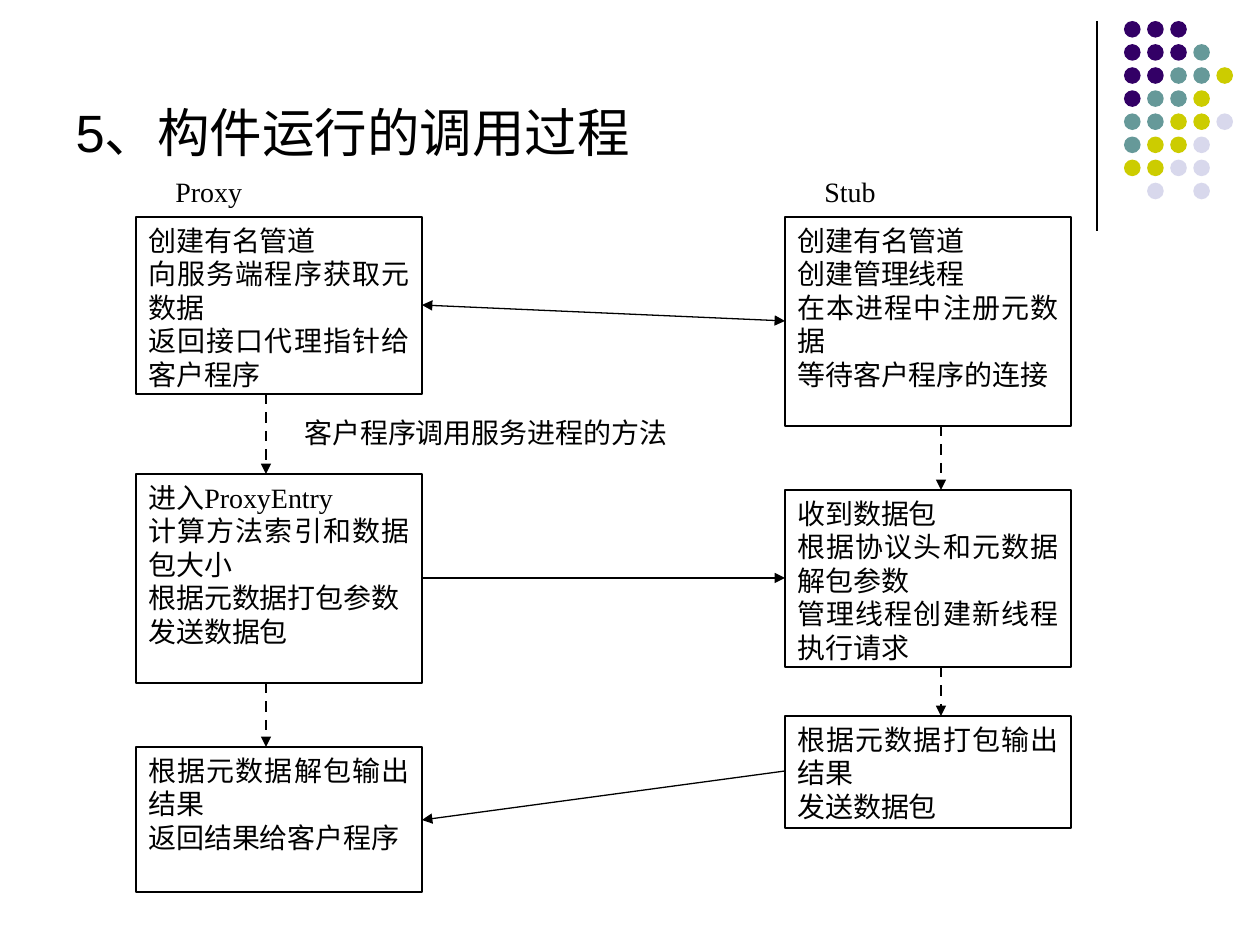
from dataclasses import dataclass

import pptx
import pptx.dml.color
import pptx.enum.dml
import pptx.enum.shapes
import pptx.enum.text
import pptx.oxml
import pptx.oxml.ns
import pptx.util

SHAPE = pptx.enum.shapes.MSO_SHAPE
ALIGN = pptx.enum.text.PP_ALIGN
A_NS = pptx.oxml.ns.nsdecls("a")
PX_PER_INCH = 126


@dataclass(frozen=True)
class Theme:
    ink: str = "000000"
    paper: str = "FFFFFF"
    purple: str = "330066"
    teal: str = "669999"
    olive: str = "CCCC00"
    lavender: str = "D8D8EC"
    title_font: str = "Arial"
    diagram_font: str = "Times New Roman"
    title_size: int = 30
    diagram_size: int = 16
    thin: float = 0.75
    thick: float = 1.5


THEME = Theme()

# Decorative dots: one letter per dot, one string per row
DOT_ROWS = ["PPP", "PPPT", "PPTTO", "PTTO", "TTOOL", "TOOL", "OOLL", " L L"]
DOT_COLORS = {"P": THEME.purple, "T": THEME.teal,
              "O": THEME.olive, "L": THEME.lavender}

# Each side: heading, left edge, offset of its flow arrows, steps (top, height, lines)
STEP_WIDTH = 286
PROXY = ("Proxy", 136, 130, [
    (217, 177, ["创建有名管道", "向服务端程序获取元数据", "返回接口代理指针给客户程序"]),
    (474, 209, ["进入ProxyEntry", "计算方法索引和数据包大小", "根据元数据打包参数", "发送数据包"]),
    (747, 145, ["根据元数据解包输出结果", "返回结果给客户程序"]),
])
STUB = ("Stub", 785, 156, [
    (217, 209, ["创建有名管道", "创建管理线程", "在本进程中注册元数据", "等待客户程序的连接"]),
    (490, 177, ["收到数据包", "根据协议头和元数据解包参数", "管理线程创建新线程执行请求"]),
    (716, 112, ["根据元数据打包输出结果", "发送数据包"]),
])


def px(length):
    return pptx.util.Emu(round(length * 914400 / PX_PER_INCH))


def rgb(color):
    return pptx.dml.color.RGBColor.from_string(color)


def write(frame, lines, *, font, size, color=THEME.ink, align=ALIGN.JUSTIFY):
    frame.word_wrap = True
    frame.auto_size = pptx.enum.text.MSO_AUTO_SIZE.NONE
    frame.vertical_anchor = pptx.enum.text.MSO_ANCHOR.TOP
    frame.margin_left = frame.margin_right = pptx.util.Inches(0.1)
    frame.margin_top = frame.margin_bottom = pptx.util.Inches(0.05)
    for index, line in enumerate(lines):
        paragraph = frame.add_paragraph() if index else frame.paragraphs[0]
        paragraph.alignment = align
        run = paragraph.add_run()
        run.text = line
        run.font.name = font
        run.font.size = pptx.util.Pt(size)
        run.font.color.rgb = rgb(color)


def add_filled(slide, kind, left, top, width, height, fill, outlined=False):
    shape = slide.shapes.add_shape(kind, px(left), px(top), px(width), px(height))
    shape.shadow.inherit = False
    shape.fill.solid()
    shape.fill.fore_color.rgb = rgb(fill)
    if outlined:
        shape.line.color.rgb = rgb(THEME.ink)
        shape.line.width = pptx.util.Pt(THEME.thin)
    else:
        shape.line.fill.background()
    return shape


def add_text_block(slide, left, top, width, height, lines, outlined=False):
    block = add_filled(slide, SHAPE.RECTANGLE, left, top, width, height,
                       THEME.paper, outlined)
    write(block.text_frame, lines, font=THEME.diagram_font, size=THEME.diagram_size)


def add_line(slide, start, end, *, width=THEME.thin, dashed=False, arrows=()):
    line = slide.shapes.add_connector(pptx.enum.shapes.MSO_CONNECTOR.STRAIGHT,
                                      *map(px, start + end))
    line.line.color.rgb = rgb(THEME.ink)
    line.line.width = pptx.util.Pt(width)
    if dashed:
        line.line.dash_style = pptx.enum.dml.MSO_LINE.DASH
    outline = line.line._get_or_add_ln()
    for arrow in arrows:
        outline.append(pptx.oxml.parse_xml(f'<a:{arrow} {A_NS} type="triangle"/>'))
    line._element.spPr.append(pptx.oxml.parse_xml(f"<a:effectLst {A_NS}/>"))


def add_corner_dots(slide, left=1124, top=21, pitch=23.1, size=16.6):
    add_line(slide, (1097, 21), (1097, 231))
    for row, letters in enumerate(DOT_ROWS):
        for column, letter in enumerate(letters):
            if letter in DOT_COLORS:
                add_filled(slide, SHAPE.OVAL, left + column * pitch,
                           top + row * pitch, size, size, DOT_COLORS[letter])


def add_title(slide, text):
    title = slide.shapes.title
    title.left, title.top, title.width, title.height = map(px, (63, 94, 1134, 750))
    write(title.text_frame, [text], font=THEME.title_font,
          size=THEME.title_size, align=ALIGN.LEFT)


def add_side(slide, heading, left, arrow_offset, steps):
    add_text_block(slide, left + 27, 168, 208, 48, [heading])
    for top, height, lines in steps:
        add_text_block(slide, left, top, STEP_WIDTH, height, lines, outlined=True)
    # Dashed arrows bridge the gap from each step to the next
    arrow_x = left + arrow_offset
    for (top, height, _), (next_top, _, _) in zip(steps, steps[1:]):
        add_line(slide, (arrow_x, top + height), (arrow_x, next_top),
                 width=THEME.thick, dashed=True, arrows=["tailEnd"])


def add_messages(slide):
    proxy_edge, stub_edge = PROXY[1] + STEP_WIDTH, STUB[1]
    add_line(slide, (proxy_edge, 305), (stub_edge, 321), arrows=["headEnd", "tailEnd"])
    add_line(slide, (proxy_edge, 578), (stub_edge, 578), arrows=["tailEnd"])
    add_line(slide, (stub_edge, 771), (proxy_edge, 820), arrows=["tailEnd"])


def main():
    presentation = pptx.Presentation()
    presentation.slide_width, presentation.slide_height = px(1260), px(945)
    title_only = presentation.slide_layouts[5]
    slide = presentation.slides.add_slide(title_only)

    # Heading and corner decoration
    add_corner_dots(slide)
    add_title(slide, "5、构件运行的调用过程")

    # Call sequence between proxy and stub
    add_messages(slide)
    for side in (STUB, PROXY):
        add_side(slide, *side)
    add_text_block(slide, 292, 409, 441, 48, ["客户程序调用服务进程的方法"])

    presentation.save("out.pptx")


if __name__ == "__main__":
    main()
